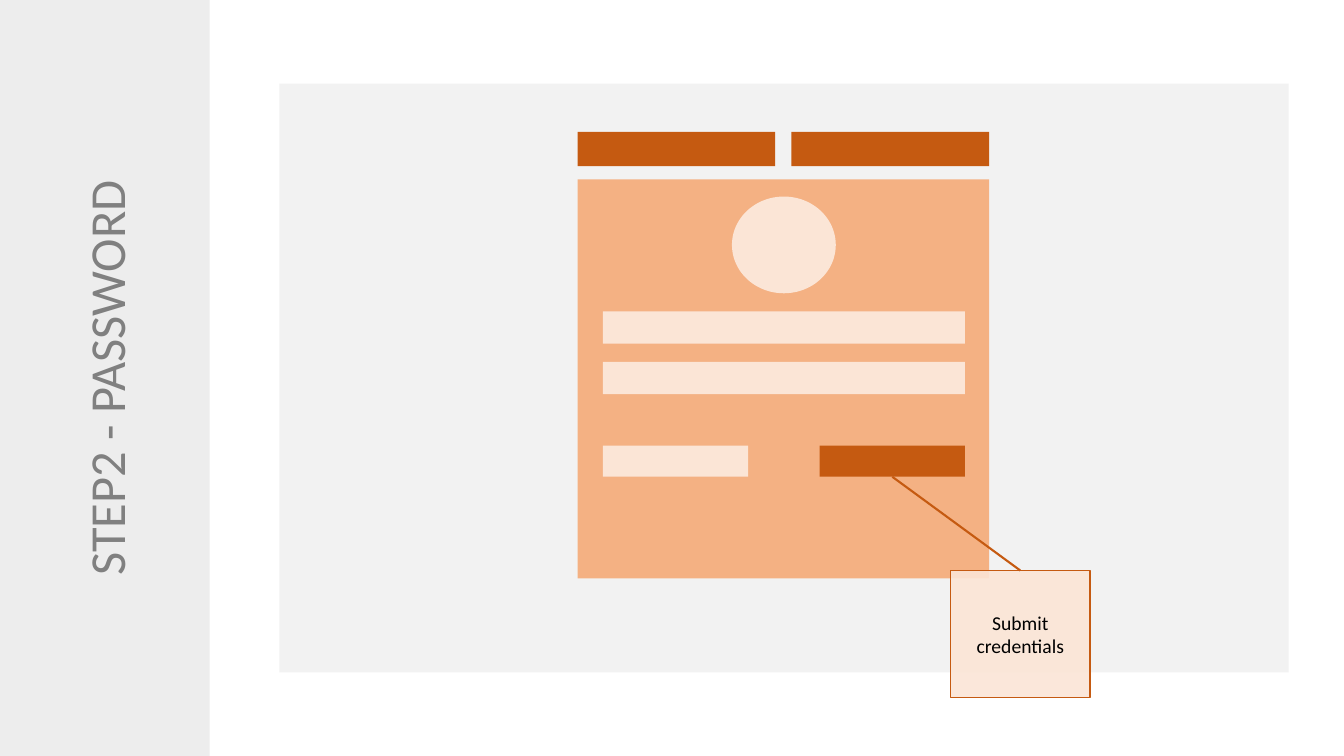
from lxml import etree
from pptx import Presentation
from pptx.dml.color import RGBColor
from pptx.enum.shapes import MSO_CONNECTOR, MSO_SHAPE as SHAPE
from pptx.enum.text import MSO_ANCHOR, MSO_AUTO_SIZE, PP_ALIGN
from pptx.oxml.ns import qn
from pptx.util import Inches, Pt

COLORS = {
    "panel": "F2F2F2", "sidebar": "EDEDED", "heading": "808080",
    "card": "F4B183", "field": "FBE5D6", "accent": "C55A11", "ink": "000000",
}


def rgb(name):
    return RGBColor.from_string(COLORS[name])


def write(shape, text, size, color, font="Calibri", align=PP_ALIGN.CENTER):
    frame = shape.text_frame
    frame.word_wrap = True
    frame.auto_size = MSO_AUTO_SIZE.NONE
    frame.vertical_anchor = MSO_ANCHOR.MIDDLE
    paragraph = frame.paragraphs[0]
    paragraph.alignment = align
    run = paragraph.add_run()
    run.text = text
    run.font.name = font
    run.font.size = Pt(size)
    run.font.color.rgb = rgb(color)


prs = Presentation()
prs.slide_width, prs.slide_height = Inches(13.33), Inches(7.5)
slide = prs.slides.add_slide(prs.slide_layouts[5])

# Sidebar heading: a wide box turned about its centre to read upwards
heading = slide.shapes.title
heading.left, heading.top = Inches(-2.71), Inches(2.71)
heading.width, heading.height = Inches(7.5), Inches(2.08)
heading.rotation = 270
heading.fill.solid()
heading.fill.fore_color.rgb = rgb("sidebar")
write(heading, "STEP2 - PASSWORD", size=36, color="heading")

# Login wireframe, from back to front, with the callout box last
blocks = [
    (SHAPE.RECTANGLE, 2.77, 0.83, 10.01, 5.84, "panel"),
    (SHAPE.RECTANGLE, 5.73, 1.78, 4.08, 3.96, "card"),
    (SHAPE.OVAL, 7.26, 1.95, 1.03, 0.96, "field"),
]
blocks += [(SHAPE.RECTANGLE, x, 1.31, 1.96, 0.34, "accent") for x in (5.73, 7.85)]
blocks += [(SHAPE.RECTANGLE, 5.98, y, 3.59, 0.32, "field") for y in (3.09, 3.59)]
blocks += [(SHAPE.RECTANGLE, x, 4.42, 1.44, 0.31, color)
           for x, color in ((5.98, "field"), (8.13, "accent"))]
blocks.append((SHAPE.RECTANGLE, 9.43, 5.66, 1.38, 1.26, "field"))

for kind, *box, color in blocks:
    block = slide.shapes.add_shape(kind, *map(Inches, box))
    block.shadow.inherit = False
    block.fill.solid()
    block.fill.fore_color.rgb = rgb(color)
    block.line.fill.background()

# Callout: outline, slight transparency and label
callout = block
callout.line.color.rgb = rgb("accent")
callout.line.width = Pt(1)
callout_color = callout._element.spPr.find(qn("a:solidFill"))[0]
etree.SubElement(callout_color, qn("a:alpha")).set("val", "90000")
write(callout, "Submit credentials", size=14, color="ink")

# Leader from the submit button to the callout
leader = slide.shapes.add_connector(
    MSO_CONNECTOR.STRAIGHT, Inches(8.85), Inches(4.73), Inches(10.12), Inches(5.66))
leader.line.color.rgb = rgb("accent")
leader.line.width = Pt(1.5)
etree.SubElement(leader._element.spPr, qn("a:effectLst"))

prs.save("out.pptx")
